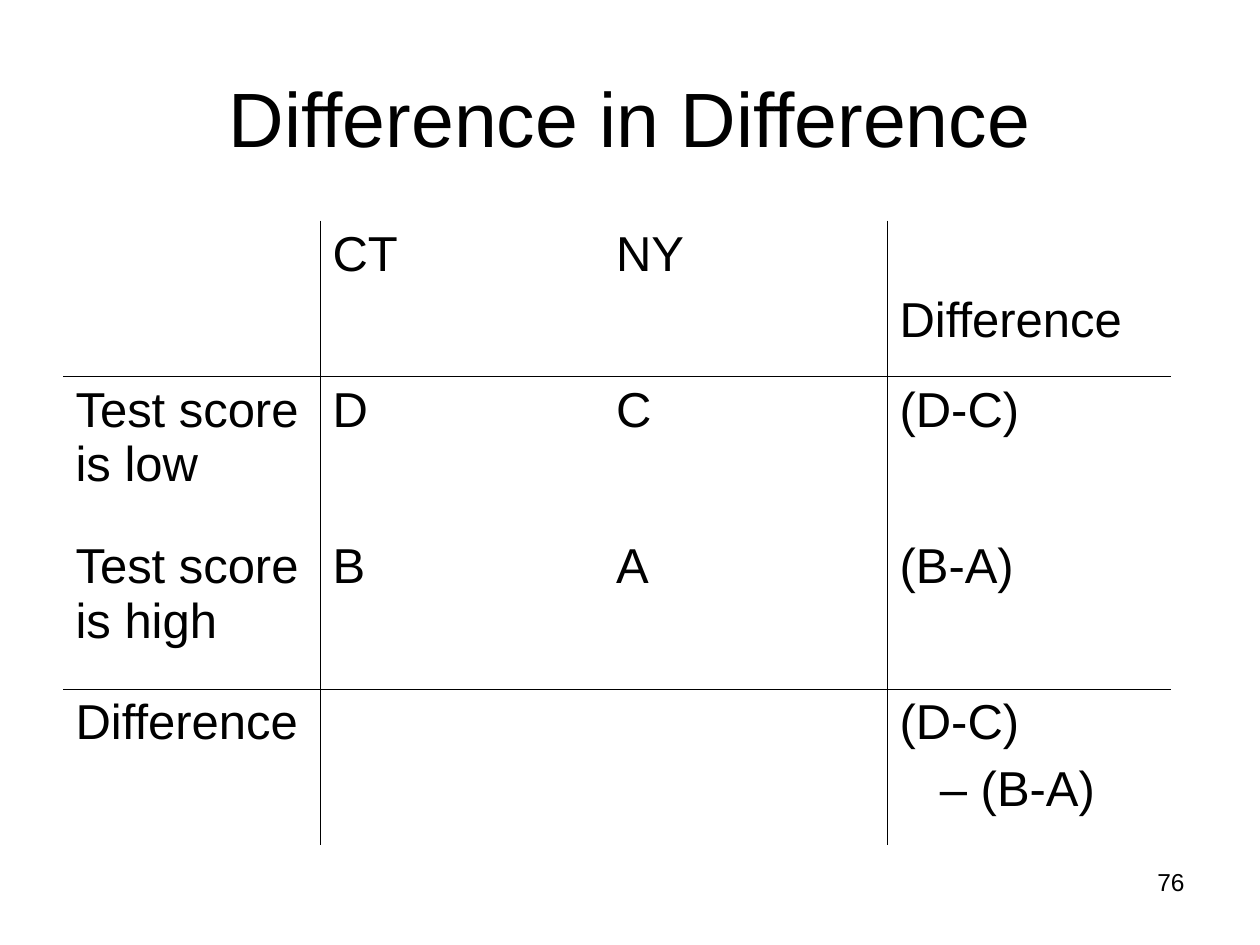
from dataclasses import dataclass

from lxml import etree
from pptx import Presentation
from pptx.dml.color import RGBColor
from pptx.enum import text as tx
from pptx.oxml import ns
from pptx.util import Inches, Pt

BLACK = RGBColor(0, 0, 0)
FONT = "Arial"
NO_STYLE = "{2D5ABB26-0587-4C30-8999-92F81FD0307C}"
INSETS = {
    "margin_left": Inches(0.1),
    "margin_right": Inches(0.1),
    "margin_top": Inches(0.05),
    "margin_bottom": Inches(0.05),
}
COLUMN_WIDTHS = (2.04, 2.25, 2.25, 2.25)
ROW_HEIGHT = 1.24
RULED_COLUMNS = (0, 2)
RULED_ROWS = (0, 2)


@dataclass(frozen=True)
class Entry:
    lines: tuple[str, ...] = ()
    top: float = 0.05
    hanging: float = 0


def entry(line: str) -> Entry:
    return Entry((line,))


ENTRIES = (
    (Entry(), entry("CT"), entry("NY"), Entry(("Difference",), top=0.58)),
    (entry("Test score is low"), entry("D"), entry("C"), entry("(D-C)")),
    (entry("Test score is high"), entry("B"), entry("A"), entry("(B-A)")),
    (entry("Difference"), Entry(), Entry(),
     Entry(("(D-C)", "– (B-A)"), hanging=0.32)),
)


def apply(target, values: dict) -> None:
    for name, value in values.items():
        setattr(target, name, value)


def style_font(font, size: float) -> None:
    apply(font, {"name": FONT, "size": Pt(size)})
    font.color.rgb = BLACK


def write_line(frame, line: str, size: float, align) -> None:
    apply(frame, {**INSETS, "word_wrap": True})
    paragraph = frame.paragraphs[0]
    paragraph.alignment = align
    run = paragraph.add_run()
    run.text = line
    style_font(run.font, size)


def rule_cell(cell, row: int, column: int) -> None:
    sides = {
        "L": column - 1 in RULED_COLUMNS,
        "R": column in RULED_COLUMNS,
        "T": row - 1 in RULED_ROWS,
        "B": row in RULED_ROWS,
    }
    properties = cell._tc.get_or_add_tcPr()
    for side, ruled in sides.items():
        line = etree.SubElement(properties, ns.qn(f"a:ln{side}"), w=str(Pt(0.45)))
        if ruled:
            fill = etree.SubElement(line, ns.qn("a:solidFill"))
            etree.SubElement(fill, ns.qn("a:srgbClr"), val=str(BLACK))
        else:
            etree.SubElement(line, ns.qn("a:noFill"))


def fill_cell(cell, content: Entry) -> None:
    apply(cell, {**INSETS, "margin_top": Inches(content.top),
                 "vertical_anchor": tx.MSO_ANCHOR.TOP})
    cell.fill.background()
    frame = cell.text_frame
    for index, line in enumerate(content.lines):
        paragraph = frame.add_paragraph() if index else frame.paragraphs[0]
        paragraph.space_before = Pt(7)
        if index:
            paragraph._p.get_or_add_pPr().set("marL", str(Inches(content.hanging)))
        run = paragraph.add_run()
        run.text = line
        style_font(run.font, 28)


def add_scores(slide) -> None:
    frame = slide.shapes.add_table(
        len(ENTRIES), len(COLUMN_WIDTHS), Inches(0.5), Inches(1.75),
        Inches(sum(COLUMN_WIDTHS)), Inches(ROW_HEIGHT * len(ENTRIES)))
    scores = frame.table
    apply(scores, {"first_row": False, "horz_banding": False})
    scores._tbl.tblPr.find(ns.qn("a:tableStyleId")).text = NO_STYLE
    for column, width in zip(scores.columns, COLUMN_WIDTHS):
        column.width = Inches(width)
    for row, contents in enumerate(ENTRIES):
        scores.rows[row].height = Inches(ROW_HEIGHT)
        for column, content in enumerate(contents):
            cell = scores.cell(row, column)
            rule_cell(cell, row, column)
            fill_cell(cell, content)


deck = Presentation()
apply(deck, {"slide_width": Inches(10), "slide_height": Inches(7.5)})
slide = deck.slides.add_slide(deck.slide_layouts[5])

heading = slide.shapes.title
apply(heading, {"left": Inches(0.5), "top": Inches(0.3),
                "width": Inches(9), "height": Inches(1.25)})
write_line(heading.text_frame, "Difference in Difference", 44, tx.PP_ALIGN.CENTER)
apply(heading.text_frame, {"vertical_anchor": tx.MSO_ANCHOR.MIDDLE,
                           "auto_size": tx.MSO_AUTO_SIZE.NONE})

add_scores(slide)

page_number = slide.shapes.add_textbox(
    Inches(7.17), Inches(6.83), Inches(2.33), Inches(0.52))
write_line(page_number.text_frame, "76", 14, tx.PP_ALIGN.RIGHT)

deck.save("out.pptx")
